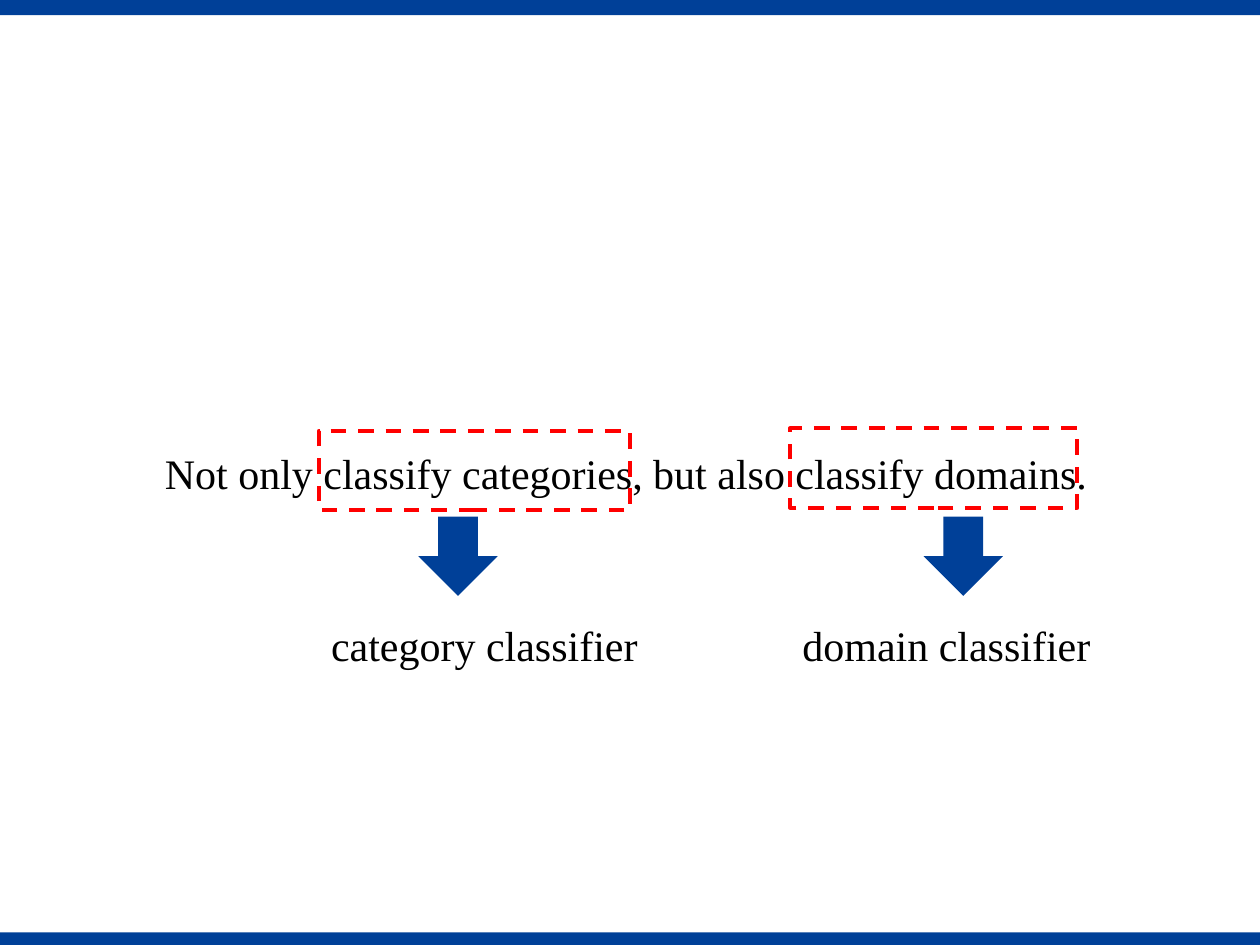
"""Build the slide on classifying categories and domains."""
from pptx import Presentation
from pptx import util as u
from pptx.dml import color
from pptx.enum import dml, shapes, text

BLUE, RED, BLACK = "004098", "FF0000", "000000"
FONT = {"name": "Times New Roman", "size": u.Pt(24)}
DASHED = {"width": u.Pt(2.25), "dash_style": dml.MSO_LINE.DASH}
FRAME = {"word_wrap": False, "auto_size": text.MSO_AUTO_SIZE.SHAPE_TO_FIT_TEXT}


def paint(target, value):
    target.solid()
    target.fore_color.rgb = color.RGBColor.from_string(value)


def add_shape(kind, *box):
    shape = slide.shapes.add_shape(kind, *map(u.Inches, box))
    shape.shadow.inherit = False
    return shape


presentation = Presentation()
presentation.slide_width, presentation.slide_height = u.Inches(10), u.Inches(7.5)
slide = presentation.slides.add_slide(presentation.slide_layouts[6])

rectangle = shapes.MSO_SHAPE.RECTANGLE
arrow = shapes.MSO_SHAPE.DOWN_ARROW
for kind, *box in [
    (rectangle, 0, 7.4, 10, 0.1),
    (rectangle, 0, 0, 10, 0.12),
    (arrow, 3.32, 4.1, 0.63, 0.63),
    (arrow, 7.33, 4.1, 0.63, 0.63),
]:
    shape = add_shape(kind, *box)
    paint(shape.fill, BLUE)
    shape.line.fill.background()

for words, left, top, width in [
    ("Not only classify categories, but also classify domains.", 1.21, 3.5, 7.59),
    ("category classifier", 2.53, 4.87, 2.73),
    ("domain classifier", 6.27, 4.87, 2.51),
]:
    label = slide.shapes.add_textbox(*map(u.Inches, (left, top, width, 0.5)))
    for name, value in FRAME.items():
        setattr(label.text_frame, name, value)
    run = label.text_frame.paragraphs[0].add_run()
    run.text = words
    for name, value in FONT.items():
        setattr(run.font, name, value)
    paint(run.font.fill, BLACK)

for left, top, width in [(2.53, 3.42, 2.47), (6.27, 3.4, 2.28)]:
    outline = add_shape(rectangle, left, top, width, 0.63)
    outline.fill.background()
    paint(outline.line.fill, RED)
    for name, value in DASHED.items():
        setattr(outline.line, name, value)

presentation.save("out.pptx")
